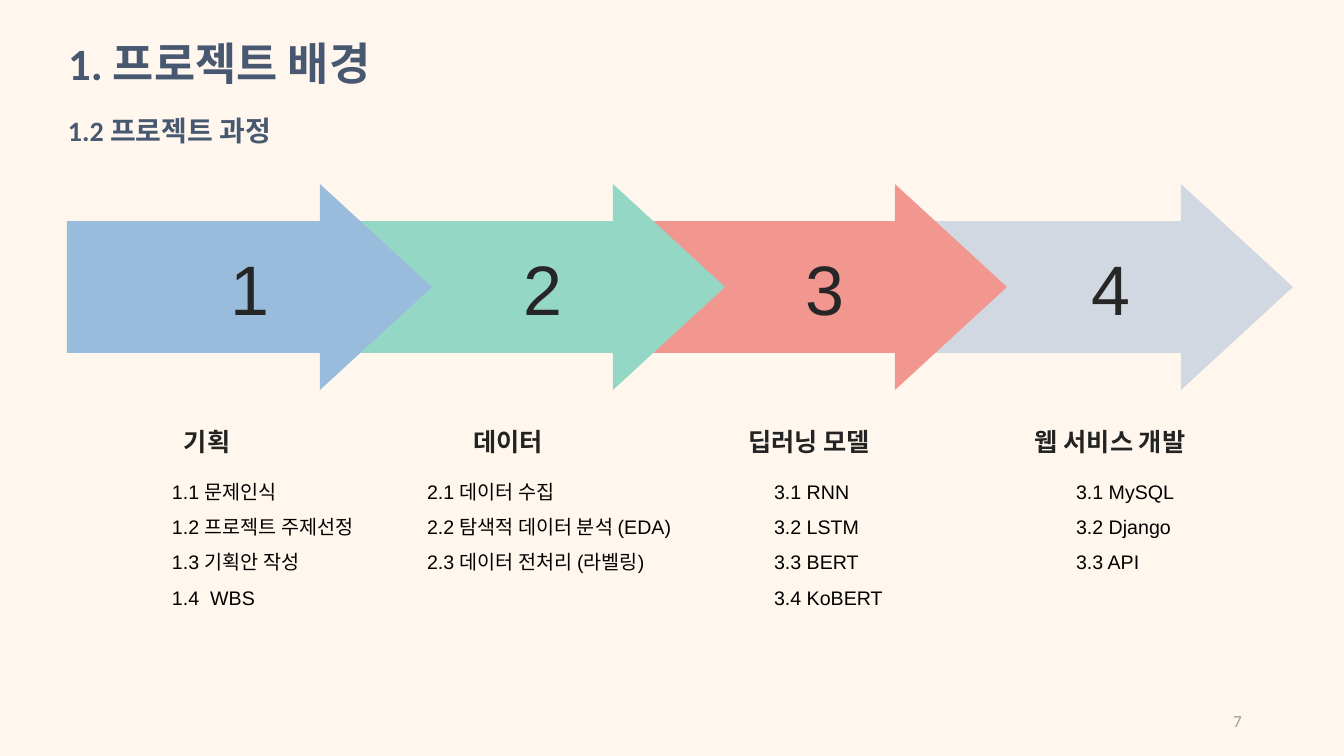
from pptx import Presentation
from pptx.dml.color import RGBColor
from pptx.enum.text import MSO_ANCHOR, MSO_AUTO_SIZE, PP_ALIGN
from pptx.util import Emu, Pt

TOP, MIDDLE = MSO_ANCHOR.TOP, MSO_ANCHOR.MIDDLE
LEFT, CENTER, RIGHT = PP_ALIGN.LEFT, PP_ALIGN.CENTER, PP_ALIGN.RIGHT
NO_FIT = MSO_AUTO_SIZE.NONE

CREAM = RGBColor(0xFF, 0xF7, 0xEE)
SLATE = RGBColor(0x47, 0x58, 0x70)
GRAY = RGBColor(0x95, 0x9A, 0xA4)
NUMBER_INK = RGBColor(0x26, 0x26, 0x26)
HEADING_INK = RGBColor(0x23, 0x23, 0x23)
BLACK = RGBColor(0, 0, 0)
BLUE = RGBColor(0x99, 0xBC, 0xDD)
GREEN = RGBColor(0x95, 0xD7, 0xC5)
CORAL = RGBColor(0xF1, 0x97, 0x8F)
SILVER = RGBColor(0xD1, 0xD8, 0xE2)

# Content
TITLE = "1. 프로젝트 배경"
SUBTITLE = "1.2 프로젝트 과정"
PAGE_NUMBER = "7"
# heading, colour, arrow left, list left, list width, items
STAGES = [
    ("기획", BLUE, 67, 68, 316,
     ["1.1 문제인식", "1.2 프로젝트 주제선정", "1.3 기획안 작성", "1.4  WBS"]),
    ("데이터", GREEN, 360, 323, 381,
     ["2.1 데이터 수집", "2.2 탐색적 데이터 분석 (EDA)", "2.3 데이터 전처리 (라벨링)"]),
    ("딥러닝 모델", CORAL, 642, 670, 278,
     ["3.1 RNN", "3.2 LSTM", "3.3 BERT", "3.4 KoBERT"]),
    ("웹 서비스 개발", SILVER, 928, 972, 278,
     ["3.1 MySQL", "3.2 Django", "3.3 API"]),
]

# Layout in px
PX = 914400 / 100.8
ARROW_TOP, ARROW_WIDTH, ARROW_HEIGHT = 184, 365, 206
HEAD_START, SHAFT_MARGIN = 253, 37
HEADING_LEFT, HEADING_STEP = 68, 301
ITEM_INDENT = 101


def px(length):
    return Emu(round(length * PX))


def write(shape, lines, size, color, font="Arial", bold=False, align=LEFT,
          anchor=TOP, inset=None, spacing=None, indent=0):
    frame = shape.text_frame
    frame.word_wrap = True
    frame.auto_size = NO_FIT
    frame.vertical_anchor = anchor
    if inset is not None:
        frame.margin_left = frame.margin_right = px(inset)
        frame.margin_top = frame.margin_bottom = px(inset)
    frame.text = "\n".join(lines)
    for para in frame.paragraphs:
        if indent:
            para._p.get_or_add_pPr().set("marL", str(px(indent)))
        para.alignment = align
        if spacing:
            para.line_spacing = spacing
        para.font.name = font
        para.font.size = Pt(size)
        para.font.bold = bold
        para.font.color.rgb = color


def add_text(page, left, top, width, height, lines, size, color, **style):
    box = page.shapes.add_textbox(px(left), px(top), px(width), px(height))
    write(box, lines, size, color, **style)


def add_arrow(page, left, number, color):
    right, bottom = left + ARROW_WIDTH, ARROW_TOP + ARROW_HEIGHT
    neck = left + HEAD_START
    shaft_top, shaft_bottom = ARROW_TOP + SHAFT_MARGIN, bottom - SHAFT_MARGIN
    outline = page.shapes.build_freeform(neck, ARROW_TOP, scale=PX)
    outline.add_line_segments([
        (neck, shaft_top), (left, shaft_top), (left, shaft_bottom),
        (neck, shaft_bottom), (neck, bottom),
        (right, ARROW_TOP + ARROW_HEIGHT / 2),
    ], close=True)
    arrow = outline.convert_to_shape()
    arrow.shadow.inherit = False
    arrow.fill.solid()
    arrow.fill.fore_color.rgb = color
    arrow.line.fill.background()
    write(arrow, [str(number)], 50, NUMBER_INK, align=CENTER, anchor=MIDDLE, inset=3)


def main():
    deck = Presentation()
    deck.slide_width, deck.slide_height = px(1344), px(756)
    page = deck.slides.add_slide(deck.slide_layouts[5])
    page.background.fill.solid()
    page.background.fill.fore_color.rgb = CREAM

    # Title and subtitle
    title = page.shapes.title
    title.left, title.top, title.width, title.height = px(58), px(37), px(506), px(72)
    write(title, [TITLE], 32, SLATE, font="Calibri", bold=True, spacing=0.9)
    add_text(page, 58, 109, 909, 44, [SUBTITLE], 20, SLATE, font="Calibri", bold=True)

    # Arrows, last stage at the back
    for number, (_, color, left, *_) in reversed(list(enumerate(STAGES, 1))):
        add_arrow(page, left, number, color)

    # Headings and lists
    for index, (heading, _, _, left, width, items) in enumerate(STAGES):
        add_text(page, HEADING_LEFT + index * HEADING_STEP, 422, 278, 42, [heading],
                 18, HEADING_INK, bold=True, align=CENTER, inset=4)
        add_text(page, left, 465, width, 114, items, 14, BLACK,
                 inset=3, spacing=1.5, indent=ITEM_INDENT)

    # Page number
    add_text(page, 950, 701, 302, 40, [PAGE_NUMBER], 12, GRAY,
             font="Calibri", align=RIGHT, anchor=MIDDLE)

    deck.save("out.pptx")


if __name__ == "__main__":
    main()
